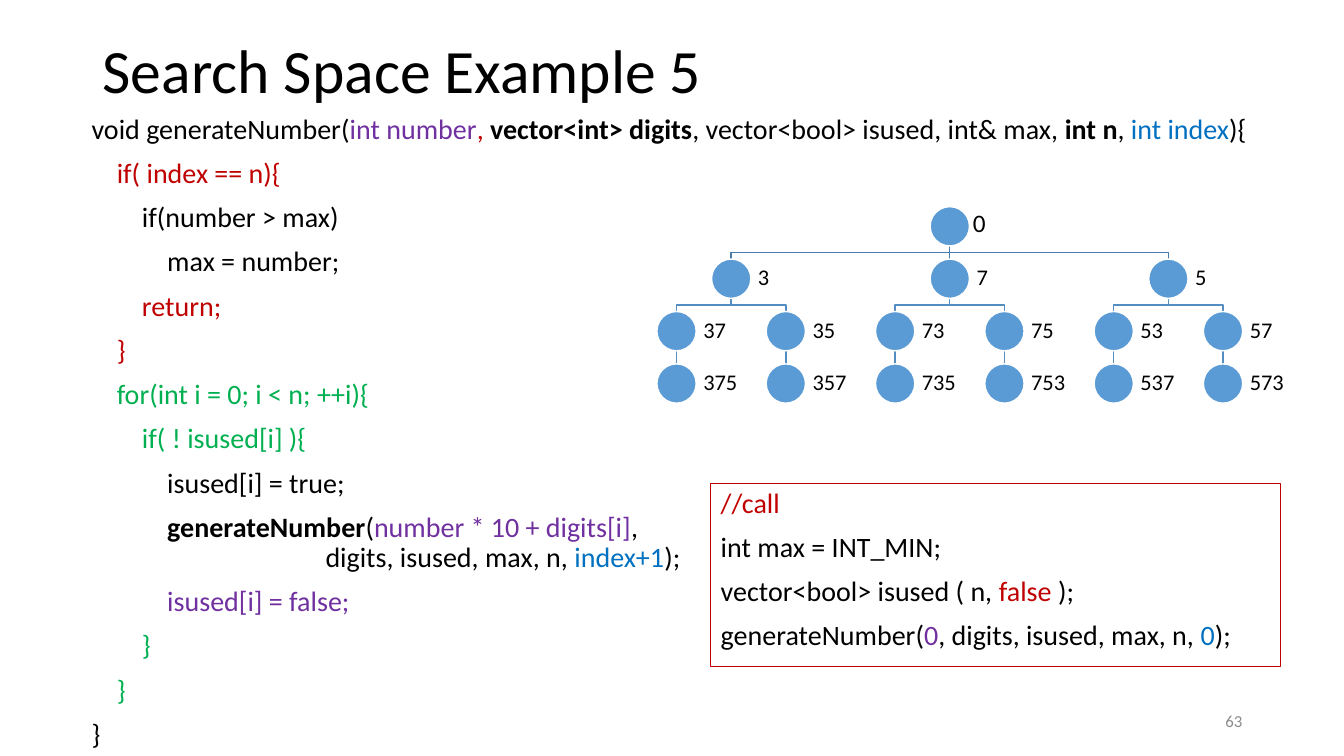
import pptx
import pptx.dml.color
import pptx.enum.shapes
import pptx.enum.text
import pptx.oxml
import pptx.util

Inches = pptx.util.Inches
RGBColor = pptx.dml.color.RGBColor
Anchor = pptx.enum.text.MSO_ANCHOR
Align = pptx.enum.text.PP_ALIGN

BLACK = RGBColor(0x00, 0x00, 0x00)
WHITE = RGBColor(0xFF, 0xFF, 0xFF)
GRAY = RGBColor(0x8C, 0x8C, 0x8C)
PURPLE = RGBColor(0x70, 0x30, 0xA0)
RED = RGBColor(0xC0, 0x00, 0x00)
GREEN = RGBColor(0x00, 0xB0, 0x50)
BLUE = RGBColor(0x00, 0x70, 0xC0)
NODE_FILL = RGBColor(0x5B, 0x9B, 0xD5)
ROOT_LINK = RGBColor(0x49, 0x7C, 0xAB)
CHILD_LINK = RGBColor(0x53, 0x8D, 0xC1)

FONT = "Calibri"
INDENT = 0.25  # one code level
CONTINUATION = 2.32  # left edge of the wrapped call arguments

# Each line: code level, then runs of (text, colour, bold)
FUNCTION_CODE = [
    (0, [("void generateNumber(", BLACK, False), ("int number", PURPLE, False),
         (", ", RED, False), ("vector<int> digits", BLACK, True),
         (", vector<bool> isused, int& max, ", BLACK, False), ("int n", BLACK, True),
         (", ", BLACK, False), ("int index", BLUE, False), ("){", BLACK, False)]),
    (1, [("if( index == n){", RED, False)]),
    (2, [("if(number > max)", BLACK, False)]),
    (3, [("max = number;", BLACK, False)]),
    (2, [("return;", RED, False)]),
    (1, [("}", RED, False)]),
    (1, [("for(int i = 0; i < n; ++i){", GREEN, False)]),
    (2, [("if( ! isused[i] ){", GREEN, False)]),
    (3, [("isused[i] = true;", BLACK, False)]),
    (3, [("generateNumber", BLACK, True), ("(", BLACK, False),
         ("number * 10 + digits[i]", PURPLE, False),
         (", \vdigits, isused, max, n, ", BLACK, False),
         ("index+1", BLUE, False), (");", BLACK, False)]),
    (3, [("isused[i] = false;", PURPLE, False)]),
    (2, [("}", GREEN, False)]),
    (1, [("}", GREEN, False)]),
    (0, [("}", BLACK, False)]),
]
CALL_CODE = [
    (0, [("//call", RED, False)]),
    (0, [("int max = INT_MIN;", BLACK, False)]),
    (0, [("vector<bool> isused ( n, ", BLACK, False), ("false ", RED, False),
         (");", BLACK, False)]),
    (0, [("generateNumber(", BLACK, False), ("0", PURPLE, False),
         (", digits, isused, max, n, ", BLACK, False), ("0", BLUE, False),
         (");", BLACK, False)]),
]

# Search tree: digit order below each node
SEARCH_TREE = {
    "0": ["3", "7", "5"],
    "3": ["37", "35"], "7": ["73", "75"], "5": ["53", "57"],
    "37": ["375"], "35": ["357"], "73": ["735"],
    "75": ["753"], "53": ["537"], "57": ["573"],
}
LEAVES = ["375", "357", "735", "753", "537", "573"]
FIRST_LEAF, LAST_LEAF = 6.71, 12.13
TREE_TOP, LEVEL_STEP, NODE_SIZE = 2.05, 0.52, 0.39


def add_run(paragraph, text, size=20, color=BLACK, bold=False):
    """Add text to a paragraph, with a line break at each vertical tab."""
    for number, part in enumerate(text.split("\v")):
        if number:
            paragraph.add_line_break()
        run = paragraph.add_run()
        run.text = part
        run.font.name = FONT
        run.font.size = pptx.util.Pt(size)
        run.font.bold = bold
        run.font.color.rgb = color


def add_text(slide, text, left, top, width, height, size=20, color=BLACK,
             align=Align.LEFT, anchor=Anchor.MIDDLE, inset=None, wrap=True, spacing=0.9):
    box = slide.shapes.add_textbox(Inches(left), Inches(top), Inches(width), Inches(height))
    frame = box.text_frame
    frame.word_wrap = wrap
    frame.vertical_anchor = anchor
    if inset is not None:
        frame.margin_left = frame.margin_right = Inches(inset)
        frame.margin_top = frame.margin_bottom = Inches(inset)
    paragraph = frame.paragraphs[0]
    paragraph.alignment = align
    paragraph.line_spacing = spacing
    add_run(paragraph, text, size, color)


def add_code(slide, lines, left, top, width, height, border=None):
    box = slide.shapes.add_textbox(Inches(left), Inches(top), Inches(width), Inches(height))
    frame = box.text_frame
    frame.word_wrap = True
    if border is not None:
        box.line.color.rgb = border
        box.line.width = pptx.util.Pt(0.75)
    for number, (level, runs) in enumerate(lines):
        paragraph = frame.add_paragraph() if number else frame.paragraphs[0]
        paragraph.line_spacing = 0.9
        paragraph.space_before = pptx.util.Pt(10)
        first = level * INDENT
        broken = any("\v" in text for text, color, bold in runs)
        rest = CONTINUATION if broken else first
        properties = paragraph._p.get_or_add_pPr()
        properties.set("marL", str(Inches(rest)))
        properties.set("indent", str(Inches(first - rest)))
        for text, color, bold in runs:
            add_run(paragraph, text, color=color, bold=bold)


def add_link(slide, start, end, color):
    """Join a parent's bottom to a child's top, with an elbow if needed."""
    (x1, y1), (x2, y2) = start, end
    if abs(x1 - x2) < 0.01:
        link = slide.shapes.add_connector(
            pptx.enum.shapes.MSO_CONNECTOR.STRAIGHT,
            Inches(x1), Inches(y1), Inches(x1), Inches(y2))
        link._element.spPr.append(pptx.oxml.parse_xml(
            '<a:effectLst xmlns:a="http://schemas.openxmlformats.org/drawingml/2006/main"/>'))
    else:
        middle = (y1 + y2) / 2
        builder = slide.shapes.build_freeform(Inches(x1), Inches(y1))
        corners = [(x1, middle), (x2, middle), (x2, y2)]
        builder.add_line_segments([(Inches(x), Inches(y)) for x, y in corners], close=False)
        link = builder.convert_to_shape()
        link.fill.background()
        link.shadow.inherit = False
    link.line.color.rgb = color
    link.line.width = pptx.util.Pt(1)


def add_node(slide, center, top):
    node = slide.shapes.add_shape(
        pptx.enum.shapes.MSO_SHAPE.OVAL, Inches(center - NODE_SIZE / 2), Inches(top),
        Inches(NODE_SIZE), Inches(NODE_SIZE))
    node.shadow.inherit = False
    node.fill.solid()
    node.fill.fore_color.rgb = NODE_FILL
    node.line.color.rgb = WHITE
    node.line.width = pptx.util.Pt(1)


def place_nodes(name, level, places):
    """Record (centre, top) of a node; a parent is centred over its children."""
    children = SEARCH_TREE.get(name, [])
    for child in children:
        place_nodes(child, level + 1, places)
    if children:
        center = (places[children[0]][0] + places[children[-1]][0]) / 2
    else:
        gap = (LAST_LEAF - FIRST_LEAF) / (len(LEAVES) - 1)
        center = FIRST_LEAF + LEAVES.index(name) * gap
    places[name] = (center, TREE_TOP + level * LEVEL_STEP)


def add_tree(slide):
    places = {}
    place_nodes("0", 0, places)
    for parent, children in SEARCH_TREE.items():
        center, top = places[parent]
        color = ROOT_LINK if parent == "0" else CHILD_LINK
        for child in children:
            add_link(slide, (center, top + NODE_SIZE), places[child], color)
    for name, (center, top) in places.items():
        add_node(slide, center, top)
        if name != "0":
            add_text(slide, name, center + NODE_SIZE / 2, top, 0.59, NODE_SIZE,
                     size=16, inset=0.07)
    add_text(slide, "0", 9.55, 2.01, 0.33, 0.4, size=18, anchor=Anchor.TOP,
             wrap=False, spacing=1.0)


def main():
    presentation = pptx.Presentation()
    presentation.slide_width = Inches(13.33)
    presentation.slide_height = Inches(7.5)
    slide = presentation.slides.add_slide(presentation.slide_layouts[6])

    # Title, code and page number
    add_text(slide, "Search Space Example 5", 0.92, 0, 11.5, 1.45, size=44)
    add_code(slide, FUNCTION_CODE, 0.81, 1.09, 11.88, 6.26)
    add_text(slide, "63", 9.42, 6.95, 3, 0.4, size=12, color=GRAY,
             align=Align.RIGHT, spacing=1.0)

    # Calling code and search tree
    add_code(slide, CALL_CODE, 7.05, 4.8, 5.65, 1.81, border=RED)
    add_tree(slide)

    presentation.save("out.pptx")


if __name__ == "__main__":
    main()
